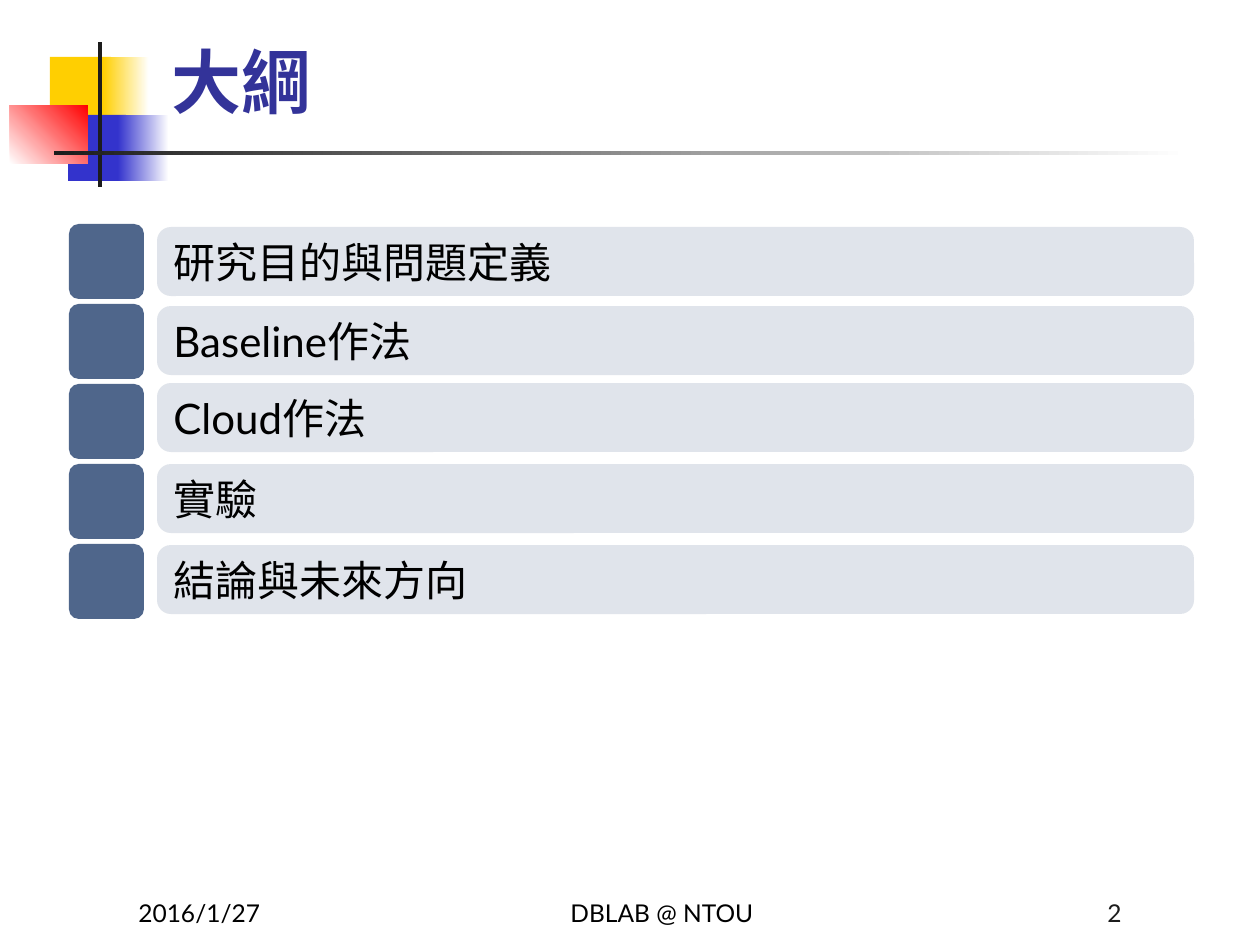
from lxml import etree
from pptx import Presentation
from pptx import util as u
from pptx.dml.color import RGBColor
from pptx.enum import shapes, text
from pptx.oxml.ns import qn

PX_PER_INCH = 126
LATIN, CJK = "Lato", "Noto Sans CJK SC"
COLORS = {
    "yellow": "FFCF01", "blue": "3333CC", "red": "FF0000", "ink": "1C1C1C",
    "white": "FFFFFF", "title": "333399", "black": "000000", "navy": "153365",
}
AGENDA = [
    ("研究目的與問題定義", CJK, 227),
    ("Baseline作法", LATIN, 306),
    ("Cloud作法", LATIN, 383),
    ("實驗", CJK, 464),
    ("結論與未來方向", CJK, 545),
]


def px(length):
    return u.Emu(round(length * u.Inches(1) / PX_PER_INCH))


def rgb(name):
    return RGBColor.from_string(COLORS[name])


def write(frame, wording, color, size, font=LATIN, bold=False,
          align=text.PP_ALIGN.LEFT, anchor=text.MSO_ANCHOR.BOTTOM):
    frame.word_wrap = True
    frame.auto_size = text.MSO_AUTO_SIZE.NONE
    frame.vertical_anchor = anchor
    paragraph = frame.paragraphs[0]
    paragraph.alignment = align
    run = paragraph.add_run()
    run.text = wording
    for key, value in {"name": font, "size": u.Pt(size), "bold": bold}.items():
        setattr(run.font, key, value)
    run.font.color.rgb = rgb(color)
    east_asian = etree.SubElement(run.font._element, qn("a:ea"))
    east_asian.set("typeface", CJK)


def block(slide, box, colors, angle=0, alpha=100, radius=None):
    preset = shapes.MSO_SHAPE.RECTANGLE if radius is None else shapes.MSO_SHAPE.ROUNDED_RECTANGLE
    shape = slide.shapes.add_shape(preset, *map(px, box))
    shape.shadow.inherit = False
    shape.line.fill.background()
    if radius is not None:
        shape.adjustments[0] = radius
    if len(colors) == 2:
        shape.fill.gradient()
        shape.fill.gradient_angle = angle
        for stop, color in zip(shape.fill.gradient_stops, colors):
            stop.color.rgb = rgb(color)
    else:
        shape.fill.solid()
        shape.fill.fore_color.rgb = rgb(colors[0])
    if alpha < 100:
        tint = shape._element.spPr.find(qn("a:solidFill"))[0]
        etree.SubElement(tint, qn("a:alpha")).set("val", str(alpha * 1000))
    return shape


def add_ornament(slide, left, top):
    parts = [
        ((40, 15, 61, 66), ["yellow"], 0),
        ((93, 15, 46, 66), ["yellow", "white"], 0),
        ((58, 73, 58, 66), ["blue"], 0),
        ((108, 73, 51, 66), ["blue", "white"], 0),
        ((0, 63, 78, 59), ["white", "red"], 45),
        ((88, 0, 4, 145), ["ink"], 0),
        ((44, 109, 1134, 4), ["ink", "white"], 0),
    ]
    for (x, y, width, height), colors, angle in parts:
        block(slide, (left + x, top + y, width, height), colors, angle)


def add_title(slide, box, wording):
    title = slide.shapes.title
    for key, value in zip(("left", "top", "width", "height"), box):
        setattr(title, key, px(value))
    write(title.text_frame, wording, "title", 40, bold=True)


def add_agenda(slide, left, top, pitch=80):
    for row, (topic, font, bar_top) in enumerate(AGENDA):
        block(slide, (left, top + row * pitch, 75, 75), ["navy"], alpha=75, radius=0.13)
        bar = block(slide, (left + 88, bar_top, 1037, 69), ["navy"], alpha=13, radius=0.2)
        write(bar.text_frame, topic, "black", 24, font, anchor=text.MSO_ANCHOR.MIDDLE)


def add_footer(slide, top, height):
    parts = [
        (126, 262, "2016/1/27", "black", text.PP_ALIGN.LEFT),
        (462, 400, "DBLAB @ NTOU", "black", text.PP_ALIGN.CENTER),
        (872, 262, "2", "ink", text.PP_ALIGN.RIGHT),
    ]
    for left, width, wording, color, align in parts:
        label = slide.shapes.add_textbox(*map(px, (left, top, width, height)))
        write(label.text_frame, wording, color, 14, align=align)


def main():
    deck = Presentation()
    deck.slide_width, deck.slide_height = u.Inches(10), u.Inches(7.5)
    slide = deck.slides.add_slide(deck.slide_layouts[5])
    add_ornament(slide, 10, 42)
    add_title(slide, (159, 21, 1074, 108), "大綱")
    add_agenda(slide, 69, 224)
    add_footer(slide, 871, 63)
    deck.save("out.pptx")


if __name__ == "__main__":
    main()
